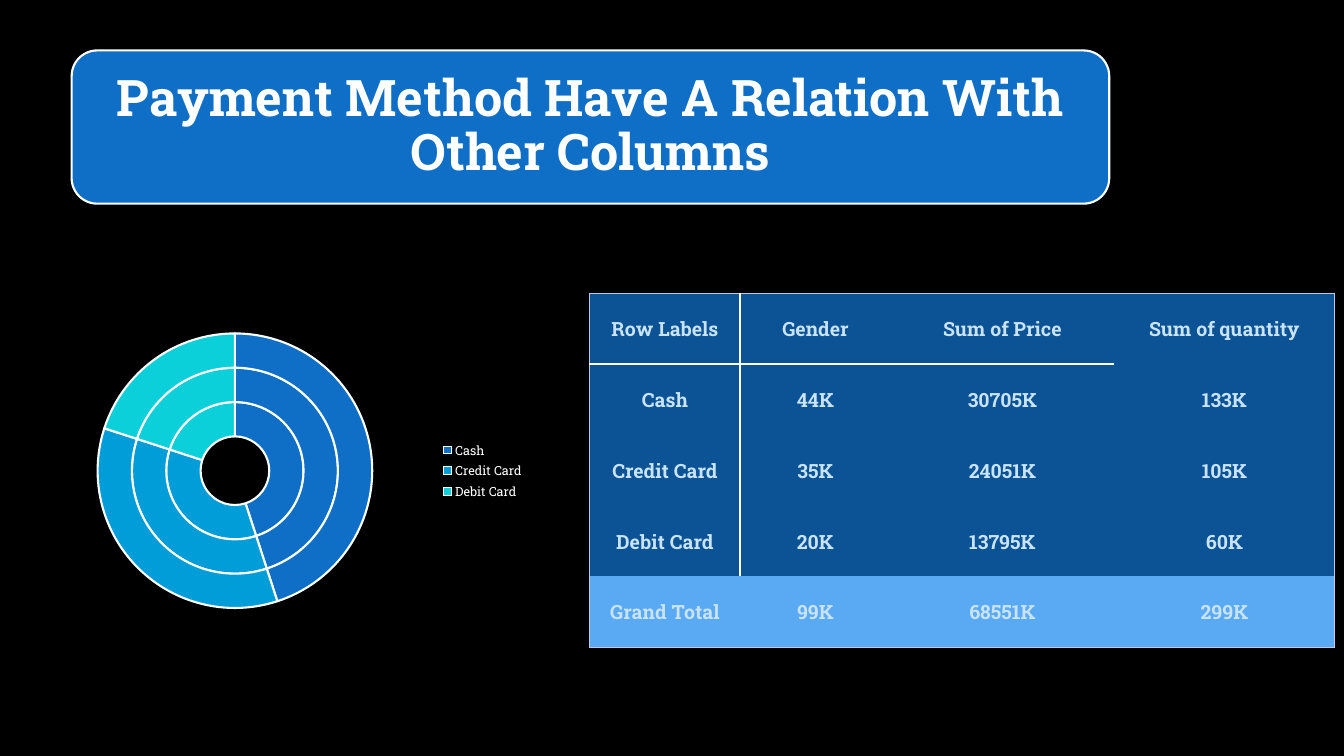
"""Build the payment method slide: a title banner, a doughnut chart and a totals table."""
import pptx
import pptx.chart.data
import pptx.dml.color
import pptx.enum.chart
import pptx.enum.shapes
import pptx.enum.text
import pptx.oxml.ns
import pptx.util
from lxml import etree

FONT = "Roboto Slab"
WHITE, PALE, EDGE = "FFFFFF", "C8E3FB", "BDC8E5"
BLUE, SKY, TEAL = "0F6FC6", "009DD9", "0BD0D9"
NAVY, LIGHT = "0B5394", "59AAF2"

deck = pptx.Presentation()
deck.slide_width = pptx.util.Inches(13.33)
deck.slide_height = pptx.util.Inches(7.5)
slide = deck.slides.add_slide(deck.slide_layouts[6])


def rgb(value):
    return pptx.dml.color.RGBColor.from_string(value)


def area(left, top, width, height):
    """Turn percentages of the slide into a position and a size."""
    sides = (deck.slide_width, deck.slide_height) * 2
    return [int(side * share / 100) for side, share in zip(sides, (left, top, width, height))]


slide.background.fill.solid()
slide.background.fill.fore_color.rgb = rgb("000000")

banner = slide.shapes.add_shape(
    pptx.enum.shapes.MSO_SHAPE.ROUNDED_RECTANGLE, *area(5.33, 6.67, 77.2, 20.27))
banner.shadow.inherit = False
banner.fill.solid()
banner.fill.fore_color.rgb = rgb(BLUE)
banner.line.color.rgb = rgb(WHITE)
banner.line.width = pptx.util.Pt(1.5)
margin = pptx.util.Inches(0.22)
banner_format = {"word_wrap": True, "margin_left": margin, "margin_right": margin,
                 "vertical_anchor": pptx.enum.text.MSO_ANCHOR.MIDDLE}
for key, value in banner_format.items():
    setattr(banner.text_frame, key, value)
title = banner.text_frame.paragraphs[0]
title.text = "Payment Method Have A Relation With Other Columns"
title.alignment = pptx.enum.text.PP_ALIGN.CENTER
title.line_spacing = 0.9
for key, value in {"name": FONT, "size": pptx.util.Pt(36), "bold": True}.items():
    setattr(title.font, key, value)
title.font.color.rgb = rgb(WHITE)

rows = [
    ["Row Labels", "Gender", "Sum of Price", "Sum of quantity"],
    ["Cash", "44K", "30705K", "133K"],
    ["Credit Card", "35K", "24051K", "105K"],
    ["Debit Card", "20K", "13795K", "60K"],
    ["Grand Total", "99K", "68551K", "299K"],
]
column_shares = [20.2, 20.2, 30, 29.6]
last_row, last_column = len(rows) - 1, len(column_shares) - 1
totals_area = area(43.88, 38.8, 55.43, 46.8)
totals = slide.shapes.add_table(len(rows), len(column_shares), *totals_area).table
for column, share in zip(totals.columns, column_shares):
    column.width = int(totals_area[2] * share / 100)

gap = pptx.util.Inches(0.01)
cell_format = {"margin_left": gap, "margin_right": gap, "margin_top": gap, "margin_bottom": 0,
               "vertical_anchor": pptx.enum.text.MSO_ANCHOR.MIDDLE}
label_format = {"name": FONT, "size": pptx.util.Pt(14), "bold": True}
outer, divider, header_rule = (EDGE, 1), (WHITE, 1.5), (WHITE, 2)
for r, row in enumerate(rows):
    for c, wording in enumerate(row):
        cell = totals.cell(r, c)
        for key, value in cell_format.items():
            setattr(cell, key, value)
        cell.fill.solid()
        cell.fill.fore_color.rgb = rgb(LIGHT if r == last_row else NAVY)
        label = cell.text_frame.paragraphs[0]
        label.text = wording
        label.alignment = pptx.enum.text.PP_ALIGN.CENTER
        for key, value in label_format.items():
            setattr(label.font, key, value)
        label.font.color.rgb = rgb(PALE)

        split = divider if r < last_row else None
        underline = header_rule if c < last_column else None
        borders = {
            "a:lnL": {0: outer, 1: split}.get(c),
            "a:lnR": {0: split, last_column: outer}.get(c),
            "a:lnT": {0: outer, 1: underline}.get(r),
            "a:lnB": {0: underline, last_row: outer}.get(r),
        }
        properties = cell._tc.get_or_add_tcPr()
        for position, (tag, stroke) in enumerate(borders.items()):
            border = etree.Element(pptx.oxml.ns.qn(tag))
            properties.insert(position, border)
            if stroke:
                border.set("w", str(pptx.util.Pt(stroke[1])))
                paint = etree.SubElement(border, pptx.oxml.ns.qn("a:solidFill"))
                etree.SubElement(paint, pptx.oxml.ns.qn("a:srgbClr"), val=stroke[0])
            else:
                etree.SubElement(border, pptx.oxml.ns.qn("a:noFill"))
for row in totals.rows:
    row.height = totals_area[3] // len(rows)

payments = pptx.chart.data.CategoryChartData()
payments.categories = ["Cash", "Credit Card", "Debit Card"]
for ring in (1, 2, 3):
    payments.add_series(f"Series {ring}", [45, 35, 20])
rings = slide.shapes.add_chart(
    pptx.enum.chart.XL_CHART_TYPE.DOUGHNUT, *area(2.25, 42.27, 37.5, 40), payments).chart
rings.has_title = False
rings.has_legend = True
rings.legend.position = pptx.enum.chart.XL_LEGEND_POSITION.RIGHT
rings.legend.include_in_layout = False
for font, size in ((rings.font, 10), (rings.legend.font, 9)):
    font.name = FONT
    font.size = pptx.util.Pt(size)
    font.color.rgb = rgb(WHITE)
plot = rings.plots[0]
plot.vary_by_categories = True
plot._element.find(pptx.oxml.ns.qn("c:holeSize")).set("val", "75")
for series in plot.series:
    for index, colour in enumerate((BLUE, SKY, TEAL)):
        slice_format = series.points[index].format
        slice_format.fill.solid()
        slice_format.fill.fore_color.rgb = rgb(colour)
        slice_format.line.color.rgb = rgb(WHITE)
        slice_format.line.width = pptx.util.Pt(1.5)

deck.save("out.pptx")
